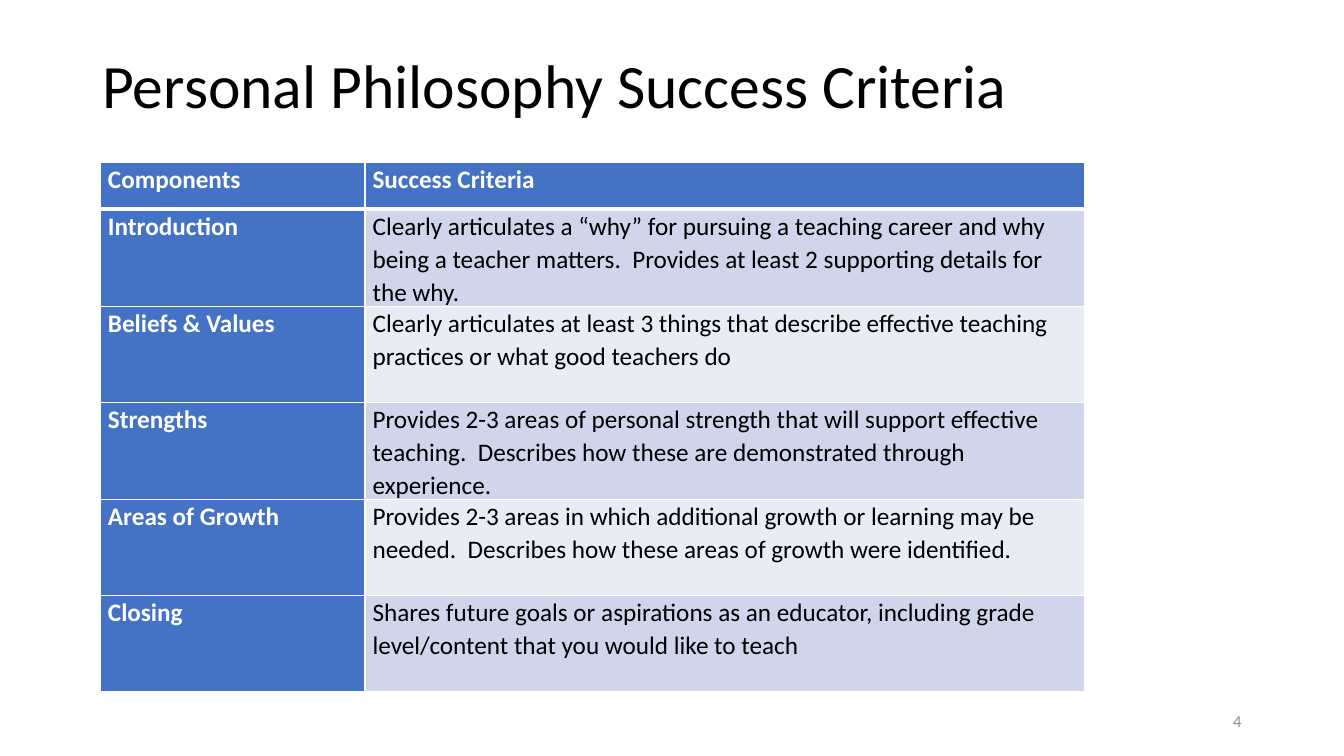
from lxml import etree
from pptx import Presentation
from pptx.dml.color import RGBColor
from pptx.enum.text import MSO_ANCHOR as Anchor, PP_ALIGN as Align
from pptx.oxml import parse_xml
from pptx.oxml.ns import nsdecls
from pptx.util import Cm, Pt


def color(hex_value):
    return RGBColor.from_string(hex_value)


def write(frame, text, size=18, ink="000000", bold=False, spacing=1.0, align=Align.LEFT):
    frame.word_wrap = True
    paragraph = frame.paragraphs[0]
    paragraph.alignment = align
    paragraph.line_spacing = spacing
    run = paragraph.add_run()
    run.text = text
    run.font.name = "Calibri"
    run.font.size = Pt(size)
    run.font.bold = bold
    run.font.color.rgb = color(ink)


CRITERIA = [
    ("Components", "Success Criteria"),
    ("Introduction", "Clearly articulates a “why” for pursuing a teaching career and why being a teacher "
     "matters.  Provides at least 2 supporting details for the why."),
    ("Beliefs & Values", "Clearly articulates at least 3 things that describe effective teaching practices "
     "or what good teachers do"),
    ("Strengths", "Provides 2-3 areas of personal strength that will support effective teaching.  "
     "Describes how these are demonstrated through experience."),
    ("Areas of Growth", "Provides 2-3 areas in which additional growth or learning may be needed.  "
     "Describes how these areas of growth were identified."),
    ("Closing", "Shares future goals or aspirations as an educator, including grade level/content "
     "that you would like to teach"),
]

prs = Presentation()
prs.slide_width, prs.slide_height = Cm(33.87), Cm(19.05)
slide = prs.slides.add_slide(prs.slide_layouts[6])

title = slide.shapes.add_textbox(Cm(2.33), Cm(0.4), Cm(29.21), Cm(3.68)).text_frame
title.vertical_anchor = Anchor.MIDDLE
write(title, "Personal Philosophy Success Criteria", size=44, spacing=0.9)

criteria = slide.shapes.add_table(len(CRITERIA), 2, Cm(2.53), Cm(4.08), Cm(24.8), Cm(13.25)).table
criteria.columns[0].width = Cm(6.67)
criteria.columns[1].width = Cm(18.13)

for r, texts in enumerate(CRITERIA):
    criteria.rows[r].height = Cm(2.42 if r else 1.19)
    for c, text in enumerate(texts):
        cell = criteria.cell(r, c)
        heading = r == 0 or c == 0
        cell.margin_left = cell.margin_right = Cm(0.19)
        cell.margin_top = cell.margin_bottom = 0
        write(cell.text_frame, text, ink="FFFFFF" if heading else "000000", bold=heading, spacing=1.07)
        cell.fill.solid()
        cell.fill.fore_color.rgb = color("4472C4" if heading else "CFD5EA" if r % 2 else "E9EBF5")
        for position, side in enumerate("LRTB"):
            under_header = (r, side) in [(0, "B"), (1, "T")]
            border = parse_xml(
                f'<a:ln{side} {nsdecls("a")} w="{Pt(3 if under_header else 1)}">'
                '<a:solidFill><a:srgbClr val="FFFFFF"/></a:solidFill>'
                f'</a:ln{side}>')
            cell._tc.get_or_add_tcPr().insert(position, border)

page_number = slide.shapes.add_textbox(Cm(23.92), Cm(17.66), Cm(7.62), Cm(1.01)).text_frame
page_number.vertical_anchor = Anchor.MIDDLE
write(page_number, "4", size=12, ink="8C8C8C", align=Align.RIGHT)

prs.save("out.pptx")
